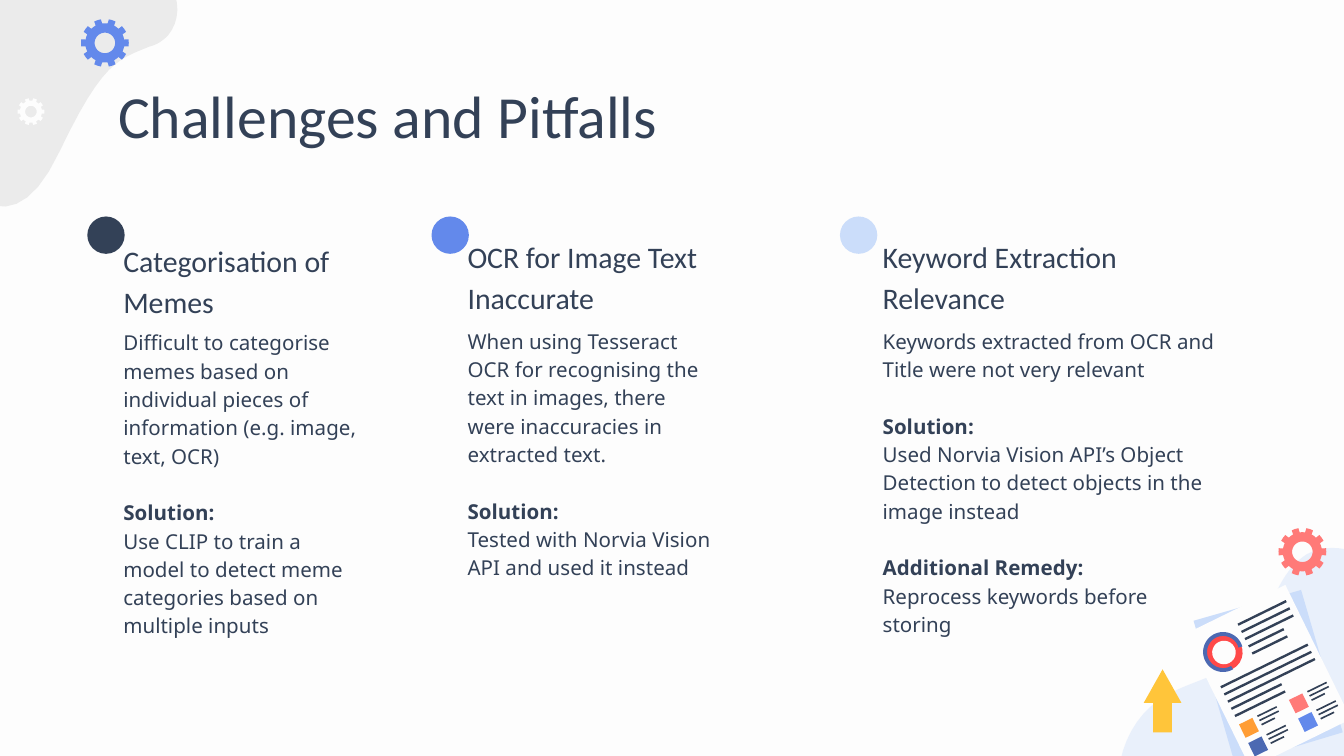
from dataclasses import dataclass
from math import cos, radians, sin

from lxml.etree import SubElement
from pptx import Presentation
from pptx.dml.color import RGBColor as Rgb
from pptx.enum.shapes import MSO_SHAPE as Preset
from pptx.enum.text import MSO_ANCHOR as Anchor
from pptx.oxml.ns import qn
from pptx.util import Pt

Point = tuple[float, float]

COLORS = {
    "paper": "FDFDFD", "ink": "334157", "grey": "EBEBEB", "blue": "6389EB",
    "pale": "CBDDFA", "navy": "4C69B2", "coral": "FF7A78", "red": "FF4949",
    "yellow": "FFC53A", "orange": "FF9D35",
}
TITLE = {"name": "Calibri", "size": Pt(32), "bold": False}
HEADING = {"name": "Calibri", "size": Pt(16), "bold": False}
BODY = {"name": "Noto Sans", "size": Pt(11), "bold": False}
LABEL = {**BODY, "bold": True}
INSET = Pt(7.2)
FRAME = {"word_wrap": True, "margin_left": INSET, "margin_right": INSET,
         "margin_top": INSET, "margin_bottom": INSET}
LINE_SPACING = 1.15
LABEL_GAP = Pt(15.2)


@dataclass
class Gear:
    x: float
    y: float
    radius: float
    color: str


@dataclass
class Column:
    left: float
    heading_top: float
    body_top: float
    body_size: Point
    dot_left: float
    color: str
    heading: str
    problem: str
    remedies: dict[str, str]


GEARS = [Gear(697.7, 295.6, 12.8, "coral"), Gear(56.2, 23, 12.8, "blue"),
         Gear(16.6, 59.8, 7.2, "paper")]

COLUMNS = [
    Column(59, 124.6, 167.8, (144.7, 189.4), 46.8, "ink", "Categorisation of Memes",
           "Difficult to categorise memes based on individual pieces of information "
           "(e.g. image, text, OCR)",
           {"Solution:": "Use CLIP to train a model to detect meme categories based on "
                         "multiple inputs"}),
    Column(243.4, 122.4, 167, (144.7, 163.4), 231.2, "blue", "OCR for Image Text Inaccurate",
           "When using Tesseract OCR for recognising the text in images, there were "
           "inaccuracies in extracted text.",
           {"Solution:": "Tested with Norvia Vision API and used it instead"}),
    Column(465.8, 122.4, 167, (193, 156.2), 450, "pale", "Keyword Extraction Relevance",
           "Keywords extracted from OCR and Title were not very relevant",
           {"Solution:": "Used Norvia Vision API’s Object Detection to detect objects in "
                         "the image instead",
            "Additional Remedy:": "Reprocess keywords before storing"}),
]

# Each blob: a start point, then curves of two control points and an end point
TOP_BLOB = [
    (-104, -116), (-74, -139), (-23, -90), (13, -64), (33, -48), (32, -51), (69, -29),
    (98, -12), (99, 8), (90, 19), (87, 22), (84, 24), (80, 25),
    (63, 32), (55, 33), (32, 81), (9, 130), (-15, 110), (-37, 81),
    (-58, 52), (-99, 74), (-135, 51), (-171, 27), (-153, 1), (-127, -24),
    (-101, -48), (-138, -79), (-104, -116),
]
CORNER_BLOB = [
    (725, 486), (700.5, 497), (671, 496), (646.5, 484.5), (626, 475), (608, 458), (601, 436),
    (595, 414), (602, 388), (621, 375), (635, 365), (654.5, 363.5), (666, 351),
    (674, 343), (677.5, 333), (681, 323), (685.5, 313), (690.5, 303), (700, 297),
    (712, 290), (729, 294.5), (739.5, 303), (750, 312), (756.5, 326), (761, 340),
    (774, 378), (784, 429), (756, 463), (747.5, 473), (736.5, 481), (725, 486),
]
BACK_SHEET = [(719.3, 392.4), (661.7, 409.7), (639.4, 332.6), (697, 316.1)]

# The report page is laid out in its own tilted frame around its centre
PAGE_CENTER = (679.3, 362.5)
PAGE_TILT = -26.1
BAR_STEP = 4.3
PARAGRAPHS = [(-25.2, -6, (52, 52, 52, 30, 30)), (-2.2, -32, (28.8, 28.8, 28.8, 21, 21))]
LEGEND = [(-21.2, 20.2, "orange"), (8.6, 20.2, "coral"),
          (-21.2, 31.3, "navy"), (8.6, 31.3, "blue")]
LEGEND_BARS = [(-3.6, 11.5), (-1.1, 11.5), (1.4, 8)]


def paint(shape, color: str) -> None:
    shape.shadow.inherit = False
    shape.fill.solid()
    shape.fill.fore_color.rgb = Rgb.from_string(COLORS[color])
    shape.line.fill.background()


def add_preset(shapes, kind, left: float, top: float, width: float, height: float, color: str):
    shape = shapes.add_shape(kind, Pt(left), Pt(top), Pt(width), Pt(height))
    paint(shape, color)
    return shape


def add_outline(shapes, contours: list[list[Point]], color: str):
    first, *holes = [[(Pt(x), Pt(y)) for x, y in contour] for contour in contours]
    builder = shapes.build_freeform(*first[0])
    builder.add_line_segments(first[1:], close=True)
    for hole in holes:
        builder.move_to(*hole[0])
        builder.add_line_segments(hole[1:], close=True)
    shape = builder.convert_to_shape()
    paint(shape, color)
    return shape


def flatten(curves: list[Point], steps: int = 12) -> list[Point]:
    points = [curves[0]]
    for i in range(0, len(curves) - 1, 3):
        a, b, c, d = curves[i:i + 4]
        for t in (step / steps for step in range(1, steps + 1)):
            s = 1 - t
            points.append(tuple(s**3 * a[k] + 3 * s * s * t * b[k] + 3 * s * t * t * c[k]
                                + t**3 * d[k] for k in (0, 1)))
    return points


def polar(x: float, y: float, radius: float, angle: float) -> Point:
    return x + radius * cos(radians(angle)), y + radius * sin(radians(angle))


def add_gear(shapes, gear: Gear) -> None:
    tooth = [(-10, 0.82), (-8.5, 1), (0, 1), (8.5, 1), (10, 0.82), (18, 0.82)]
    rim = [polar(gear.x, gear.y, gear.radius * reach, turn + offset)
           for turn in range(0, 360, 36) for offset, reach in tooth]
    hole = [polar(gear.x, gear.y, gear.radius * 0.43, angle) for angle in range(360, 0, -10)]
    add_outline(shapes, [rim, hole], gear.color)


def page_point(u: float, v: float) -> Point:
    x, y = polar(*PAGE_CENTER, u, PAGE_TILT)
    return polar(x, y, v, PAGE_TILT + 90)


def add_on_page(shapes, kind, u: float, v: float, width: float, height: float, color: str) -> None:
    x, y = page_point(u, v)
    add_preset(shapes, kind, x - width / 2, y - height / 2, width, height,
               color).rotation = PAGE_TILT


def add_bar(shapes, left: float, v: float, width: float, thickness: float) -> None:
    add_on_page(shapes, Preset.RECTANGLE, left + width / 2, v, width, thickness, "ink")


def add_report(shapes) -> None:
    add_outline(shapes, [BACK_SHEET], "pale")
    add_on_page(shapes, Preset.RECTANGLE, 0, 0, 60, 80, "paper")
    for left, top, widths in PARAGRAPHS:
        for row, width in enumerate(widths):
            add_bar(shapes, left, top + row * BAR_STEP, width, 1.3)
    # Ring chart
    add_on_page(shapes, Preset.OVAL, -15.5, -22, 20, 20, "red")
    center = page_point(-15.8, -22.4)
    outer = [polar(*center, 10.7, angle) for angle in range(60, 345, 4)]
    inner = [polar(*center, 8.6, angle) for angle in range(344, 59, -4)]
    add_outline(shapes, [outer + inner], "navy")
    add_on_page(shapes, Preset.OVAL, -15.5, -22, 12.6, 12.6, "paper")
    # Legend
    for u, v, color in LEGEND:
        for offset, width in LEGEND_BARS:
            add_bar(shapes, u + 6.8, v + offset, width, 0.9)
        add_on_page(shapes, Preset.RECTANGLE, u, v, 8, 8, color)


def add_text(shapes, left: float, top: float, width: float, height: float,
             lines: list[tuple[str, dict]], anchor=Anchor.TOP, spacing: float = LINE_SPACING) -> None:
    frame = shapes.add_textbox(Pt(left), Pt(top), Pt(width), Pt(height)).text_frame
    for name, value in {**FRAME, "vertical_anchor": anchor}.items():
        setattr(frame, name, value)
    for i, (words, style) in enumerate(lines):
        paragraph = frame.add_paragraph() if i else frame.paragraphs[0]
        paragraph.line_spacing = spacing
        if style is LABEL:
            paragraph.space_before = LABEL_GAP
        run = paragraph.add_run()
        run.text = words
        for name, value in style.items():
            setattr(run.font, name, value)
        run.font.color.rgb = Rgb.from_string(COLORS["ink"])


def add_column(shapes, column: Column) -> None:
    add_text(shapes, column.left, column.heading_top, 163.4, 54,
             [(column.heading, HEADING)], Anchor.BOTTOM)
    lines = [(column.problem, BODY)]
    for label, remedy in column.remedies.items():
        lines += [(label, LABEL), (remedy, BODY)]
    add_text(shapes, column.left, column.body_top, *column.body_size, lines)
    add_preset(shapes, Preset.OVAL, column.dot_left, 116, 20, 20, column.color)


def main() -> None:
    deck = Presentation()
    deck.slide_width, deck.slide_height = Pt(720), Pt(405)
    slide = deck.slides.add_slide(deck.slide_layouts[6])
    slide.background.fill.solid()
    slide.background.fill.fore_color.rgb = Rgb.from_string(COLORS["paper"])
    shapes = slide.shapes

    # Decoration
    add_outline(shapes, [flatten(TOP_BLOB)], "grey")
    corner = add_outline(shapes, [flatten(CORNER_BLOB)], "pale")
    tint = next(corner.element.iter(qn("a:srgbClr")))
    SubElement(tint, qn("a:alpha"), val="39000")
    for gear in GEARS:
        add_gear(shapes, gear)
    arrow = add_preset(shapes, Preset.UP_ARROW, 612.7, 358.6, 20.2, 33.8, "yellow")
    arrow.adjustments[0], arrow.adjustments[1] = 0.5, 0.89
    add_report(shapes)

    # Content
    add_text(shapes, 56.2, 35.3, 607.7, 45.4, [("Challenges and Pitfalls", TITLE)], spacing=1.0)
    for column in COLUMNS:
        add_column(shapes, column)
    deck.save("out.pptx")


if __name__ == "__main__":
    main()
